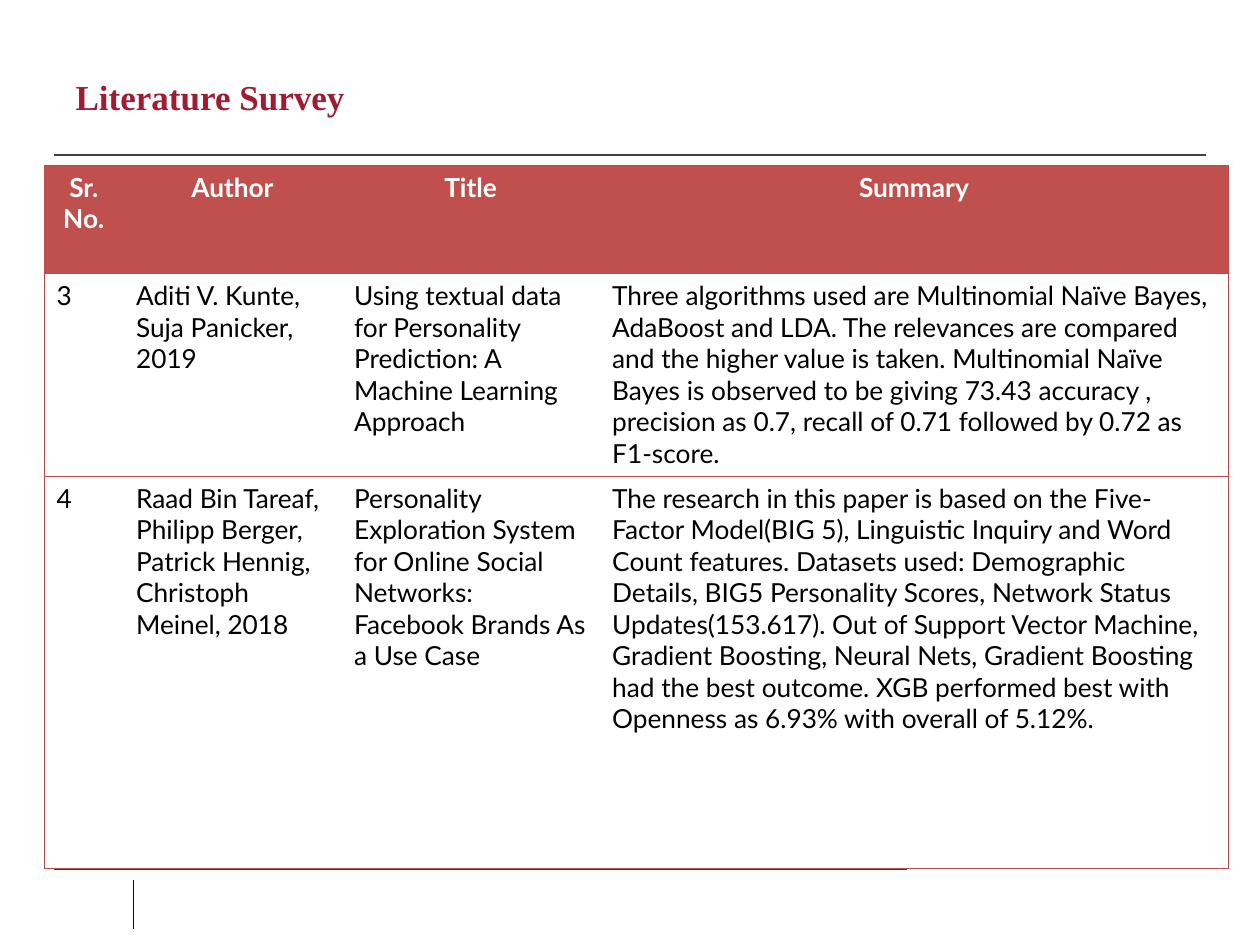
from dataclasses import dataclass

from pptx import Presentation
from pptx.dml.color import RGBColor
from pptx.enum.shapes import MSO_CONNECTOR
from pptx.enum.text import MSO_ANCHOR, PP_ALIGN
from pptx.oxml.ns import qn
from pptx.oxml.xmlchemy import OxmlElement
from pptx.util import Pt


@dataclass(frozen=True)
class Theme:
    title_font: str = "Times New Roman"
    table_font: str = "Lato"
    title_size: float = 20
    table_size: float = 15
    crimson: str = "9F1C33"
    header_fill: str = "C0504D"
    border: str = "BE4B48"
    white: str = "FFFFFF"
    black: str = "000000"
    rule: str = "404040"
    tick: str = "0D0D0D"
    rule_width: float = 0.75
    border_width: float = 0.34


THEME = Theme()
PLAIN_TABLE_STYLE = "{2D5ABB26-0587-4C30-8999-92F81FD0307C}"

RULES = [
    ((31, 88.6), (689, 88.6), THEME.rule),
    ((31, 496.8), (518.4, 496.8), THEME.rule),
    ((76.3, 502.6), (76.3, 530.6), THEME.tick),
]

COLUMN_WIDTHS = [45.4, 124.6, 147.5, 359.3]
ROW_HEIGHTS = [61.9, 115.9, 223.9]
SURVEY = [
    ["Sr. No.", "Author", "Title", "Summary"],
    [
        "3",
        "Aditi V. Kunte, Suja Panicker, 2019",
        "Using textual data for Personality Prediction: A Machine Learning Approach",
        "Three algorithms used are Multinomial Naïve Bayes, AdaBoost and LDA. "
        "The relevances are compared and the higher value is taken. "
        "Multinomial Naïve Bayes is observed to be giving 73.43 accuracy , "
        "precision as 0.7, recall of 0.71 followed by 0.72 as F1-score.",
    ],
    [
        "4",
        "Raad Bin Tareaf, Philipp Berger, Patrick Hennig, Christoph Meinel, 2018",
        "Personality Exploration System for Online Social Networks: "
        "Facebook Brands As a Use Case",
        "The research in this paper is based on the Five-Factor Model(BIG 5), "
        "Linguistic Inquiry and Word Count features. Datasets used: "
        "Demographic Details, BIG5 Personality Scores, Network Status "
        "Updates(153.617). Out of Support Vector Machine, Gradient Boosting, "
        "Neural Nets, Gradient Boosting had the best outcome. XGB performed "
        "best with Openness as 6.93% with overall of 5.12%.",
    ],
]


def write_text(frame, text, *, font, size, color, bold=False,
               align=PP_ALIGN.LEFT, anchor=MSO_ANCHOR.TOP):
    frame.word_wrap = True
    frame.vertical_anchor = anchor
    paragraph = frame.paragraphs[0]
    paragraph.alignment = align
    run = paragraph.add_run()
    run.text = text
    run.font.name = font
    run.font.size = Pt(size)
    run.font.bold = bold
    run.font.color.rgb = RGBColor.from_string(color)


def add_rule(slide, start, end, color):
    rule = slide.shapes.add_connector(
        MSO_CONNECTOR.STRAIGHT, *map(Pt, start), *map(Pt, end))
    rule.line.color.rgb = RGBColor.from_string(color)
    rule.line.width = Pt(THEME.rule_width)
    rule._element.spPr.append(OxmlElement("a:effectLst"))


def set_borders(cell, visible_sides):
    properties = cell._tc.get_or_add_tcPr()
    for side in "LRTB":
        border = OxmlElement(f"a:ln{side}")
        if side in visible_sides:
            border.set("w", str(Pt(THEME.border_width)))
            fill = OxmlElement("a:solidFill")
            color = OxmlElement("a:srgbClr")
            color.set("val", THEME.border)
            fill.append(color)
        else:
            fill = OxmlElement("a:noFill")
        border.append(fill)
        properties.append(border)


def add_title(slide, text):
    title = slide.shapes.title
    title.left, title.top, title.width, title.height = map(Pt, (36, 21.6, 648, 67))
    write_text(title.text_frame, text, font=THEME.title_font,
               size=THEME.title_size, color=THEME.crimson, bold=True,
               anchor=MSO_ANCHOR.MIDDLE)


def add_survey_table(slide):
    table = slide.shapes.add_table(
        len(ROW_HEIGHTS), len(COLUMN_WIDTHS), Pt(25.2), Pt(94.4),
        Pt(sum(COLUMN_WIDTHS)), Pt(sum(ROW_HEIGHTS))).table
    table.horz_banding = False
    table._tbl.tblPr.find(qn("a:tableStyleId")).text = PLAIN_TABLE_STYLE
    for column, width in zip(table.columns, COLUMN_WIDTHS):
        column.width = Pt(width)
    for row, height in zip(table.rows, ROW_HEIGHTS):
        row.height = Pt(height)

    last_column = len(COLUMN_WIDTHS) - 1
    for row_index, entries in enumerate(SURVEY):
        header = row_index == 0
        for column_index, entry in enumerate(entries):
            cell = table.cell(row_index, column_index)
            outer_sides = {0: "L", last_column: "R"}.get(column_index, "")
            set_borders(cell, "TB" + outer_sides)
            if header:
                cell.fill.solid()
                cell.fill.fore_color.rgb = RGBColor.from_string(THEME.header_fill)
            else:
                cell.fill.background()
            write_text(cell.text_frame, entry, font=THEME.table_font,
                       size=THEME.table_size, bold=header,
                       color=THEME.white if header else THEME.black,
                       align=PP_ALIGN.CENTER if header else PP_ALIGN.LEFT)


def main():
    presentation = Presentation()
    presentation.slide_width, presentation.slide_height = Pt(720), Pt(540)
    slide = presentation.slides.add_slide(presentation.slide_layouts[5])
    for start, end, color in RULES:
        add_rule(slide, start, end, color)
    add_title(slide, "Literature Survey")
    add_survey_table(slide)
    presentation.save("out.pptx")


if __name__ == "__main__":
    main()
